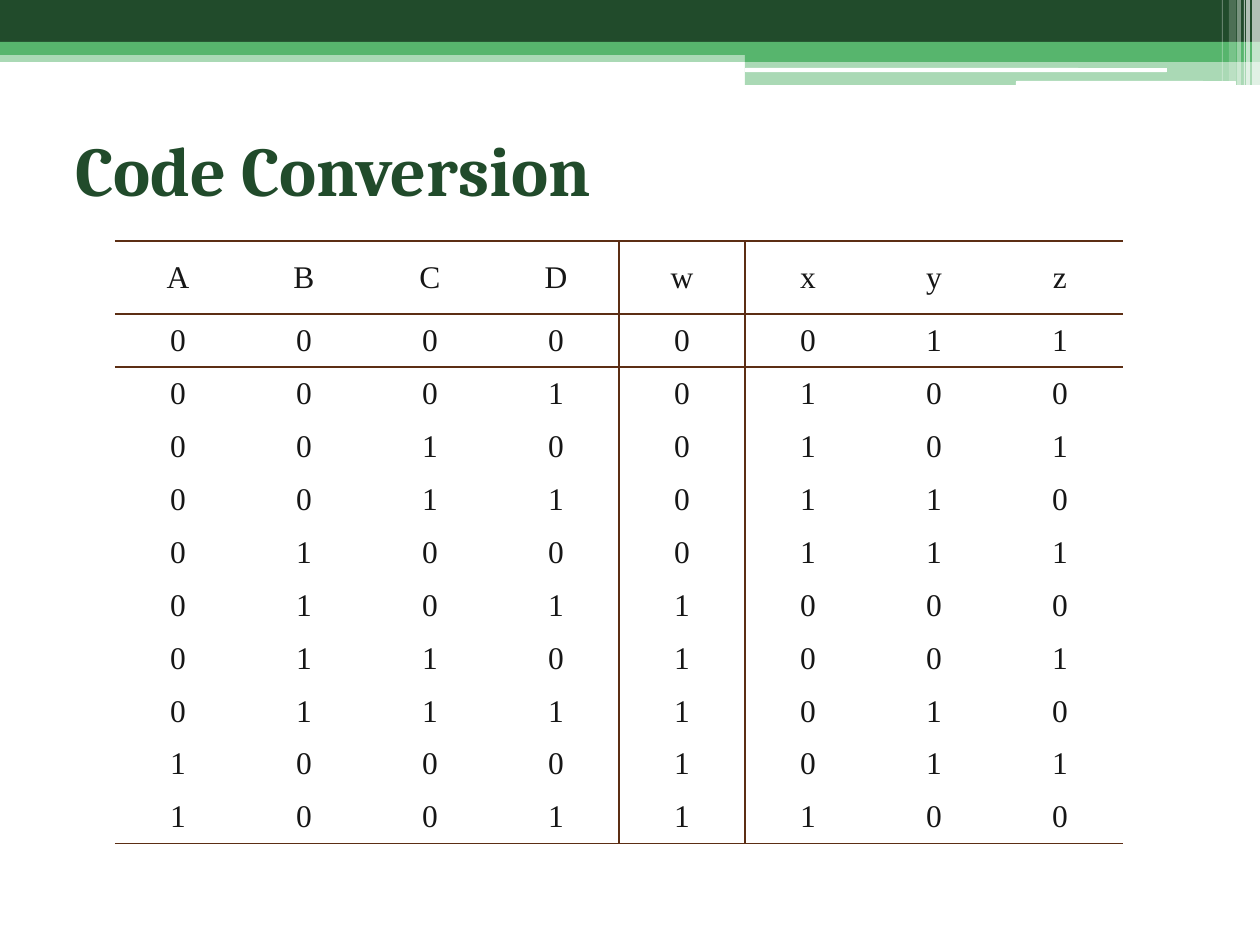
from dataclasses import dataclass

from lxml import etree
from pptx import Presentation
from pptx.dml.color import RGBColor
from pptx.enum.shapes import MSO_SHAPE
from pptx.enum.text import MSO_ANCHOR, PP_ALIGN
from pptx.oxml.ns import qn
from pptx.util import Pt

RECTANGLE = MSO_SHAPE.RECTANGLE
ROUNDED = MSO_SHAPE.ROUNDED_RECTANGLE
MIDDLE = MSO_ANCHOR.MIDDLE
LEFT, CENTER = PP_ALIGN.LEFT, PP_ALIGN.CENTER
NO_STYLE_NO_GRID = "{2D5ABB26-0587-4C30-8999-92F81FD0307C}"
EMU_PER_PX = 914400 / 126


@dataclass(frozen=True)
class Theme:
    dark: str = "214B2B"
    green: str = "57B56D"
    white: str = "FFFFFF"
    ink: str = "161616"
    rule: str = "5C2E14"
    title_font: str = "Cambria"
    table_font: str = "Times New Roman"
    title_size: int = 40
    table_size: int = 18
    rule_width: int = 1


THEME = Theme()

# shape, left, top, width, height, colour, opacity in percent
BANNER = [
    (RECTANGLE, 0, 50, 1260, 12, THEME.green, 50),
    (RECTANGLE, 0, 0, 1260, 42, THEME.dark, 100),
    (RECTANGLE, 0, 42, 1260, 13, THEME.green, 100),
    (RECTANGLE, 745, 49, 515, 13, THEME.green, 100),
    (RECTANGLE, 745, 62, 515, 23, THEME.green, 50),
    (ROUNDED, 745, 68, 422, 4, THEME.white, 100),
    (ROUNDED, 1016, 81, 220, 5, THEME.white, 100),
]
# left, width, height, opacity in percent
STRIPES = [
    (1252, 8, 85, 65),
    (1246, 4, 85, 65),
    (1244, 1, 85, 60),
    (1237, 4, 85, 40),
    (1229, 7, 81, 20),
    (1222, 1, 81, 30),
]

HEADINGS = "ABCDwxyz"
INPUT_COUNT = 4
DIGIT_COUNT = 10
EXCESS = 3
COLUMN_WIDTH, HEADING_HEIGHT, ROW_HEIGHT = 126, 73, 53


def px(length):
    return round(length * EMU_PER_PX)


def box(*lengths):
    return [px(length) for length in lengths]


def set_attributes(target, values):
    for name, value in values.items():
        setattr(target, name, value)


def add_bar(slide, kind, left, top, width, height, color, opacity):
    shape = slide.shapes.add_shape(kind, *box(left, top, width, height))
    shape.shadow.inherit = False
    shape.line.fill.background()
    shape.fill.solid()
    shape.fill.fore_color.rgb = RGBColor.from_string(color)
    if opacity < 100:
        color_element = shape.fill._xPr.find(".//" + qn("a:srgbClr"))
        etree.SubElement(color_element, qn("a:alpha"), val=str(opacity * 1000))


def write_text(text_frame, text, alignment, font):
    paragraph = text_frame.paragraphs[0]
    paragraph.alignment = alignment
    run = paragraph.add_run()
    run.text = text
    color = RGBColor.from_string(font.pop("color"))
    set_attributes(run.font, font)
    run.font.color.rgb = color


def add_title(slide, text):
    shape = slide.shapes.add_textbox(*box(63, 95, 1134, 147))
    set_attributes(shape.text_frame, {"word_wrap": True, "vertical_anchor": MIDDLE})
    write_text(shape.text_frame, text, LEFT, {
        "name": THEME.title_font, "size": Pt(THEME.title_size),
        "bold": True, "color": THEME.dark,
    })


def add_border(cell, side):
    """Draw one side of a cell; sides must come in the order L, R, T, B."""
    line = etree.Element(qn(f"a:ln{side}"), w=str(Pt(THEME.rule_width)))
    fill = etree.SubElement(line, qn("a:solidFill"))
    etree.SubElement(fill, qn("a:srgbClr"), val=THEME.rule)
    properties = cell._tc.get_or_add_tcPr()
    position = len(properties.findall("*")) - 1  # the fill stays last
    properties.insert(position, line)


def border_sides(row, column):
    rules = {
        "L": column == INPUT_COUNT,
        "R": column == INPUT_COUNT - 1,
        "T": row <= 1,
        "B": row in (0, DIGIT_COUNT),
    }
    return [side for side, drawn in rules.items() if drawn]


def conversion_rows():
    """Each decimal digit in BCD, followed by its excess-3 code."""
    return [f"{digit:04b}{digit + EXCESS:04b}" for digit in range(DIGIT_COUNT)]


def add_code_table(slide):
    rows = [HEADINGS, *conversion_rows()]
    height = HEADING_HEIGHT + DIGIT_COUNT * ROW_HEIGHT
    frame = slide.shapes.add_table(
        len(rows), len(HEADINGS),
        *box(115, 241, len(HEADINGS) * COLUMN_WIDTH, height))
    table = frame.table
    set_attributes(table, {"first_row": False, "horz_banding": False})
    table._tbl.tblPr.find(qn("a:tableStyleId")).text = NO_STYLE_NO_GRID
    for column in table.columns:
        column.width = px(COLUMN_WIDTH)
    for row_index, codes in enumerate(rows):
        table.rows[row_index].height = px(ROW_HEIGHT if row_index else HEADING_HEIGHT)
        for column_index, text in enumerate(codes):
            cell = table.cell(row_index, column_index)
            cell.vertical_anchor = MIDDLE
            cell.fill.background()
            write_text(cell.text_frame, text, CENTER, {
                "name": THEME.table_font, "size": Pt(THEME.table_size),
                "color": THEME.ink,
            })
            for side in border_sides(row_index, column_index):
                add_border(cell, side)


def main():
    presentation = Presentation()
    set_attributes(presentation, {"slide_width": px(1260), "slide_height": px(945)})
    slide = presentation.slides.add_slide(presentation.slide_layouts[6])
    for bar in BANNER:
        add_bar(slide, *bar)
    for left, width, height, opacity in STRIPES:
        add_bar(slide, RECTANGLE, left, 0, width, height, THEME.white, opacity)
    add_title(slide, "Code Conversion")
    add_code_table(slide)
    presentation.save("out.pptx")


if __name__ == "__main__":
    main()
